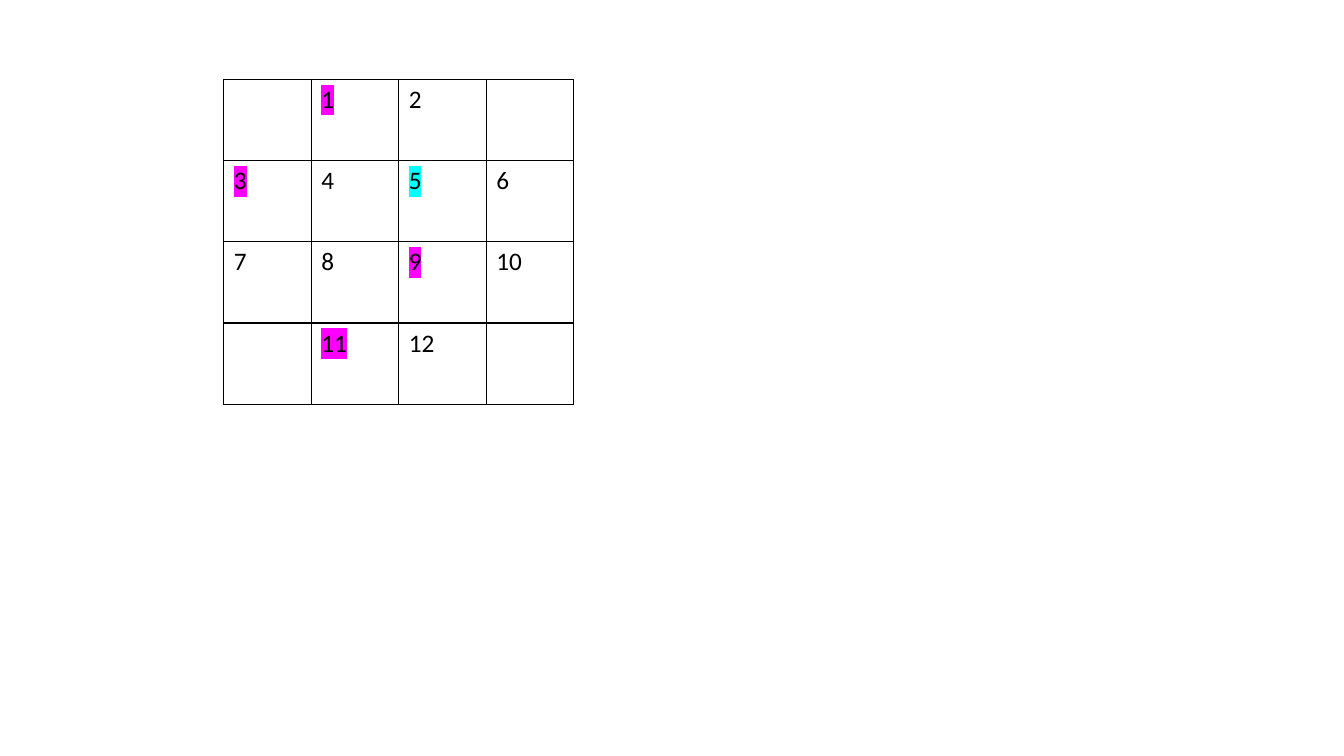
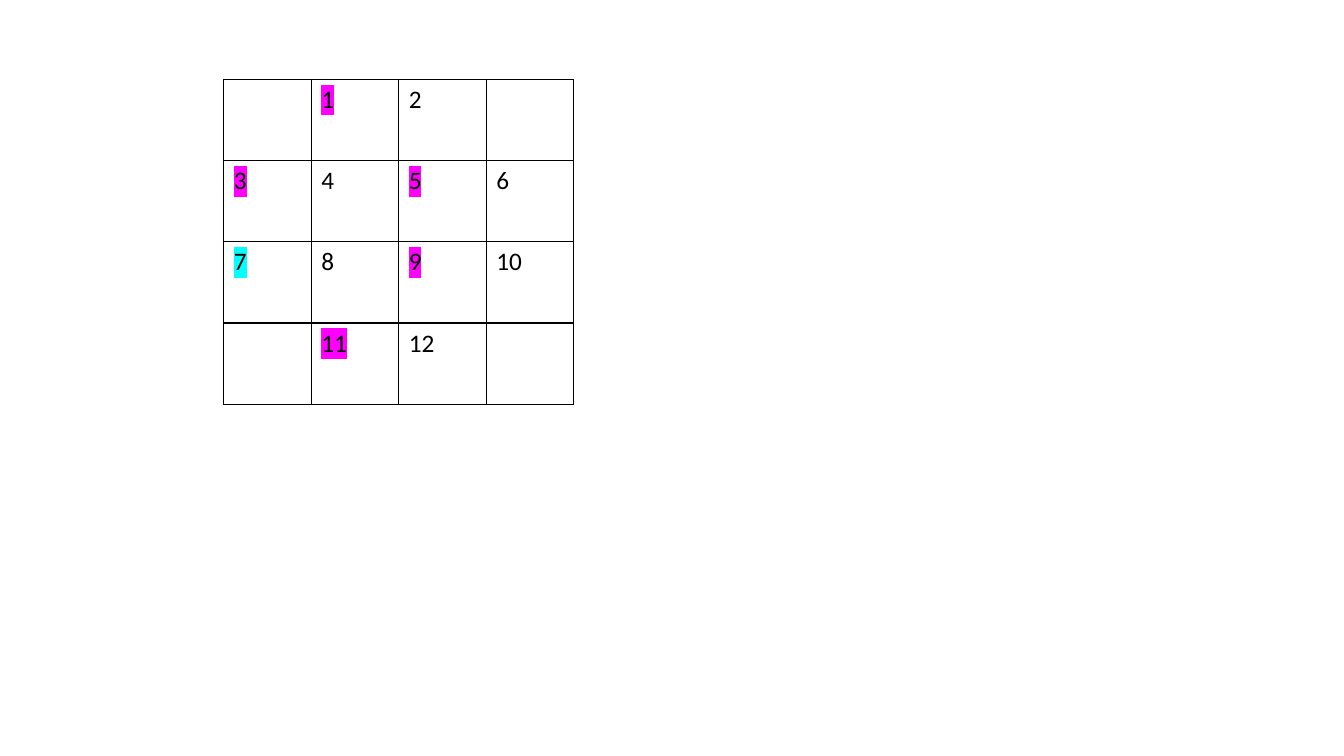
from dataclasses import dataclass

from lxml import etree
from pptx import Presentation
from pptx.dml.color import RGBColor
from pptx.oxml.ns import qn
from pptx.util import Inches, Pt


@dataclass(frozen=True)
class Theme:
    font: str = "Calibri"
    text_size: int = 18
    ink: str = "000000"
    marked: str = "FF00FF"
    current: str = "00FFFF"
    border_width: int = 1


THEME = Theme()
SLIDE_SIZE = (Inches(13.33), Inches(7.5))
BOARD_BOX = (Inches(2.22), Inches(0.79), Inches(3.47), Inches(3.22))
BLANK_LAYOUT = 6
BORDER_TAGS = ("a:lnL", "a:lnR", "a:lnT", "a:lnB")
BOARD = (
    (None, 1, 2, None),
    (3, 4, 5, 6),
    (7, 8, 9, 10),
    (None, 11, 12, None),
)
STEPS = (
    {"marked": {1, 3, 9, 11}, "current": 5},
    {"marked": {1, 3, 5, 9, 11}, "current": 7},
)


def add_solid_fill(parent, colour):
    fill = etree.SubElement(parent, qn("a:solidFill"))
    etree.SubElement(fill, qn("a:srgbClr"), val=colour)


def style_cell(cell):
    properties = cell._tc.get_or_add_tcPr()
    for tag in BORDER_TAGS:
        line = etree.SubElement(properties, qn(tag), w=str(Pt(THEME.border_width)))
        add_solid_fill(line, THEME.ink)
    cell.fill.background()


def write_number(cell, number, highlight):
    run = cell.text_frame.paragraphs[0].add_run()
    run.text = str(number)
    run.font.size = Pt(THEME.text_size)
    run.font.color.rgb = RGBColor.from_string(THEME.ink)
    if highlight:
        element = etree.SubElement(run.font._element, qn("a:highlight"))
        etree.SubElement(element, qn("a:srgbClr"), val=highlight)
    run.font.name = THEME.font


def add_board(slide, box, marked, current):
    left, top, width, height = box
    row_count, column_count = len(BOARD), len(BOARD[0])
    table = slide.shapes.add_table(
        row_count, column_count, left, top, width, height
    ).table
    table.first_row = False
    table.horz_banding = False
    highlights = {number: THEME.marked for number in marked}
    highlights[current] = THEME.current
    for row_index, numbers in enumerate(BOARD):
        for column_index, number in enumerate(numbers):
            cell = table.cell(row_index, column_index)
            style_cell(cell)
            if number is not None:
                write_number(cell, number, highlights.get(number))


def main():
    presentation = Presentation()
    presentation.slide_width, presentation.slide_height = SLIDE_SIZE
    layout = presentation.slide_layouts[BLANK_LAYOUT]
    for step in STEPS:
        slide = presentation.slides.add_slide(layout)
        add_board(slide, BOARD_BOX, **step)
    presentation.save("out.pptx")


if __name__ == "__main__":
    main()
